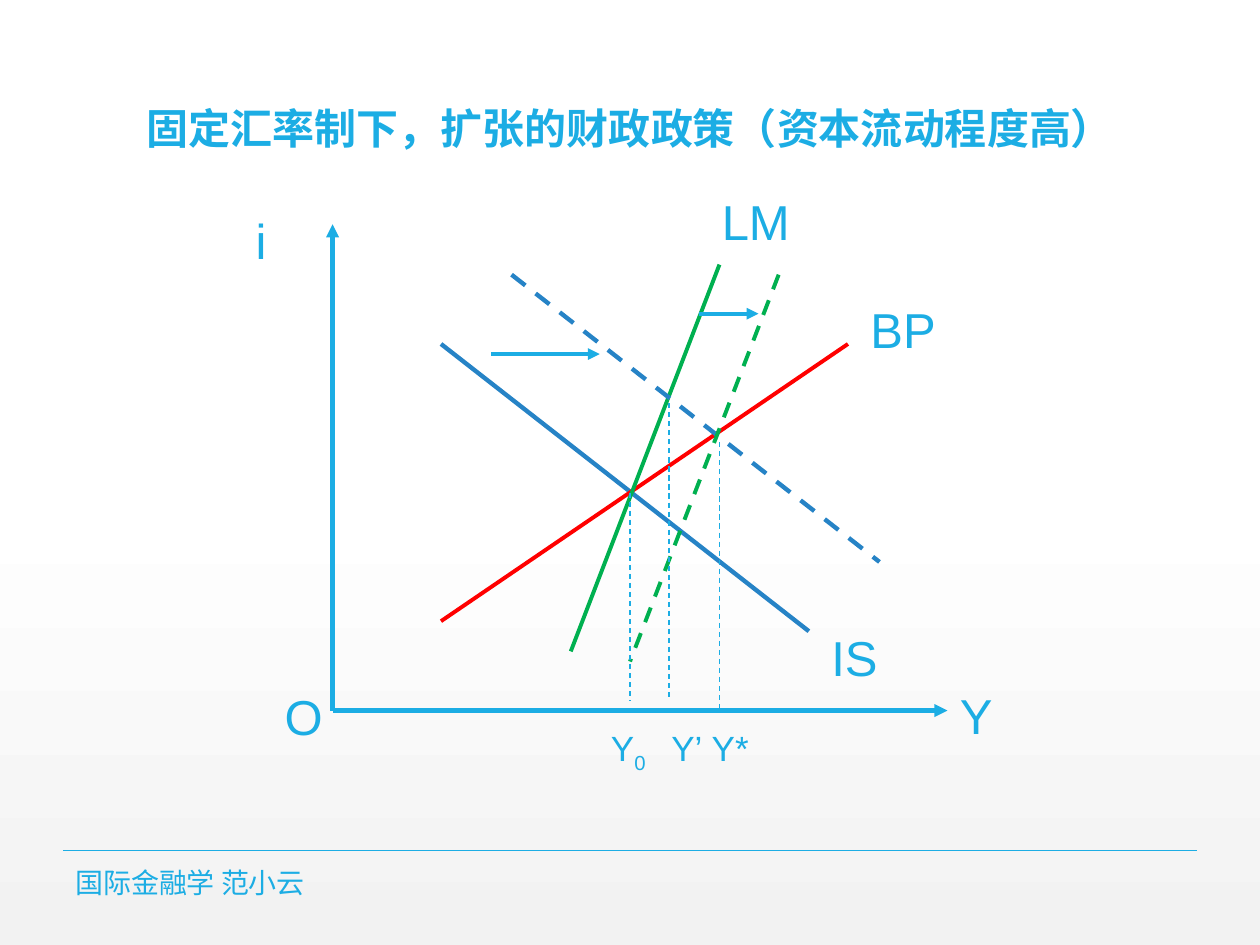
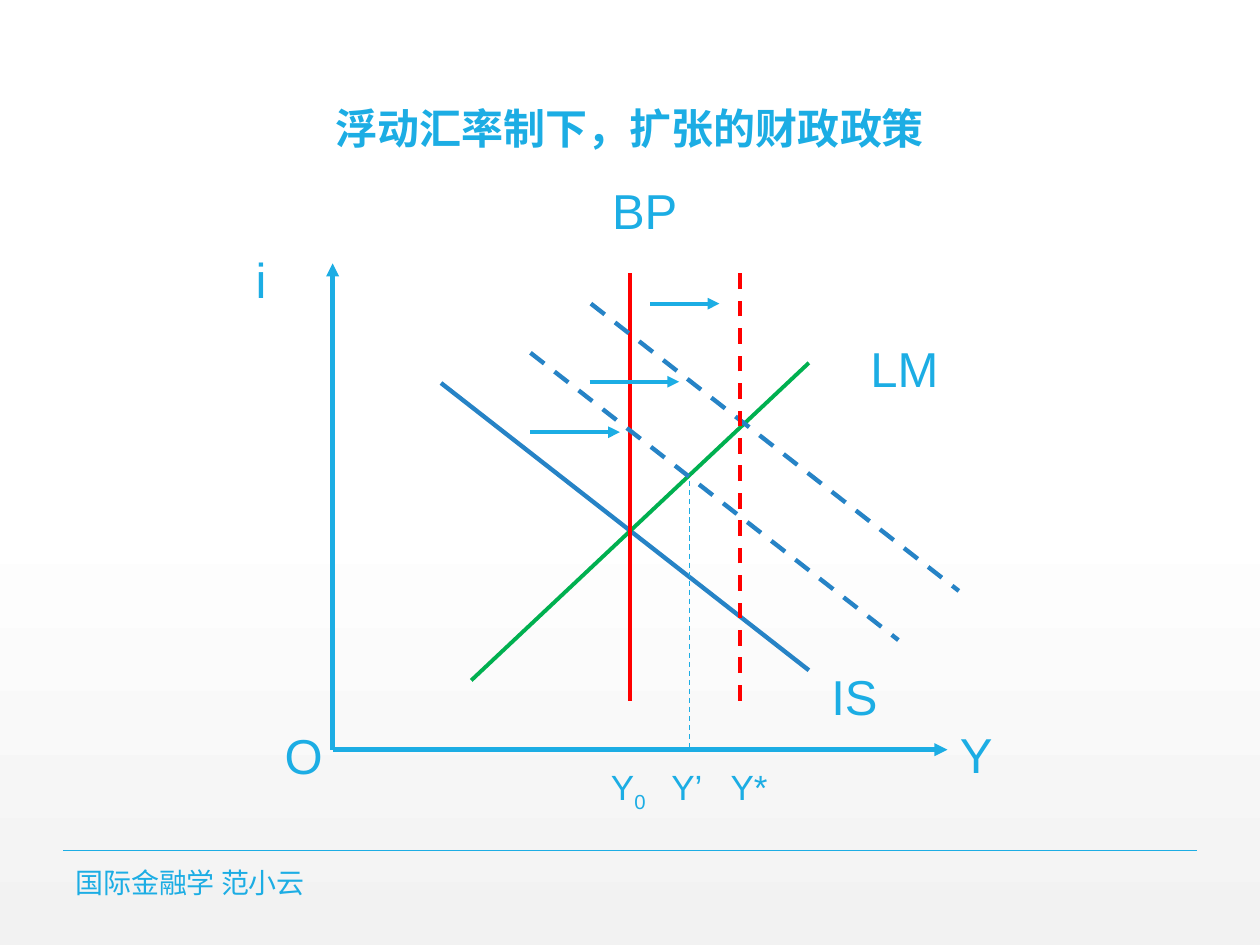
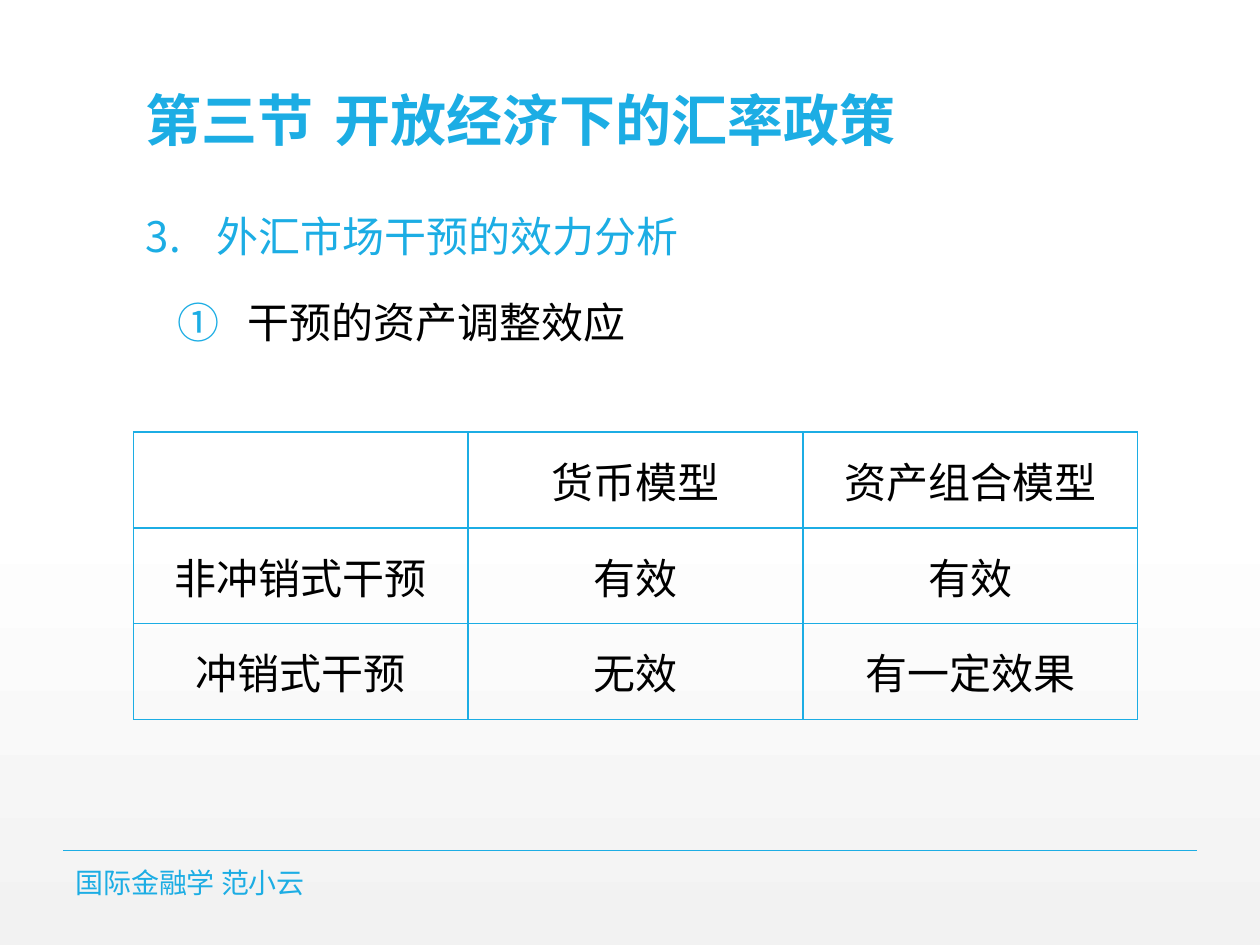
import copy
import dataclasses

import lxml.etree
import pptx
import pptx.dml.color
import pptx.enum.dml
import pptx.enum.shapes
import pptx.enum.text
import pptx.oxml.ns
import pptx.util

Inches = pptx.util.Inches
Pt = pptx.util.Pt
qn = pptx.oxml.ns.qn
ALIGN = pptx.enum.text.PP_ALIGN
ANCHOR = pptx.enum.text.MSO_ANCHOR


@dataclasses.dataclass(frozen=True)
class Theme:
    accent: str = "1CADE4"
    is_curve: str = "2683C6"
    lm_curve: str = "00B050"
    bp_curve: str = "FF0000"
    black: str = "000000"
    white: str = "FFFFFF"
    grey: str = "F2F2F2"
    latin: str = "Arial"
    chinese: str = "Noto Sans CJK SC"
    section_title: int = 32
    curve_label: int = 28
    title: int = 24
    body: int = 24
    quantity: int = 20
    footer: int = 16
    thick: float = 2.5
    medium: float = 2.25
    rule: float = 1
    thin: float = 0.75


THEME = Theme()
TITLE_BOX = (1.06, 0.02, 7.88, 1.25)
BODY_BOX = (1.06, 1.58, 7.88, 5.3)
FOOTER_BOX = (0.5, 6.88, 5.03, 0.24)
TABLE_BOX = (1.06, 3.43, 7.97, 2.28)
PLOT_LEFT, PLOT_WIDTH, PLOT_HEIGHT = 2.64, 4.88, 3.86
IS_CURVE = ((0.86, 0.95), (3.78, 3.23))


def rgb(color):
    return pptx.dml.color.RGBColor.from_string(color)


def add_child(parent, tag, **attributes):
    child = lxml.etree.SubElement(parent, qn(tag))
    for name, value in attributes.items():
        child.set(name, str(value))
    return child


def style_span(span, size, color=THEME.accent, font=THEME.latin, bold=False):
    span.font.size = Pt(size)
    span.font.bold = bold
    span.font.color.rgb = rgb(color)
    span.font.name = font
    add_child(span.font._element, "a:ea", typeface=THEME.chinese)


def add_text(page, box, text, size, font=THEME.latin, bold=False,
             anchor=ANCHOR.TOP, align=ALIGN.LEFT):
    shape = page.shapes.add_textbox(*map(Inches, box))
    frame = shape.text_frame
    frame.word_wrap = True
    frame.vertical_anchor = anchor
    frame.text = text
    para = frame.paragraphs[0]
    para.alignment = align
    for span in para.runs:
        style_span(span, size, font=font, bold=bold)
    return para


def add_line(page, start, end, color, width, dashed=False, arrow=False):
    line = page.shapes.add_connector(
        pptx.enum.shapes.MSO_CONNECTOR.STRAIGHT, *map(Inches, (*start, *end)))
    line.line.color.rgb = rgb(color)
    line.line.width = Pt(width)
    if dashed:
        line.line.dash_style = pptx.enum.dml.MSO_LINE.DASH
    properties = line._element.spPr
    if arrow:
        add_child(properties.find(qn("a:ln")), "a:tailEnd", type="triangle")
    add_child(properties, "a:effectLst")


def set_background(deck):
    """Give every slide a white to light grey gradient through the master."""
    master = deck.slide_master
    fill = master.background.fill
    fill.gradient()
    fill.gradient_angle = 270
    stop_list = next(master.element.cSld.iter(qn("a:gsLst")))
    stop_list.insert(1, copy.deepcopy(stop_list[0]))
    settings = ((0, THEME.white), (0.53, THEME.white), (1, THEME.grey))
    for stop, (position, color) in zip(fill.gradient_stops, settings):
        stop.position = position
        stop.color.rgb = rgb(color)


def add_page(deck, title, title_size, align):
    page = deck.slides.add_slide(deck.slide_layouts[6])
    add_line(page, (0.5, 6.75), (9.5, 6.75), THEME.accent, THEME.rule)
    heading = add_text(page, TITLE_BOX, title, title_size, bold=True,
                       anchor=ANCHOR.BOTTOM, align=align)
    heading.line_spacing = 0.9
    add_text(page, FOOTER_BOX, "国际金融学 范小云", THEME.footer,
             font=THEME.chinese, anchor=ANCHOR.MIDDLE)
    return page


class Plot:
    """An i-Y diagram whose parts are placed from its top left corner."""

    def __init__(self, page, top):
        self.page = page
        self.top = top
        origin = (0, PLOT_HEIGHT)
        for tip in ((0, 0), (PLOT_WIDTH, PLOT_HEIGHT)):
            self.line(origin, tip, THEME.accent, THEME.thick, arrow=True)
        self.curve(IS_CURVE, THEME.is_curve, THEME.thick)
        self.label("i", -0.71, -0.16)
        self.label("Y", PLOT_WIDTH, 3.61)
        self.label("O", -0.48, 3.62)
        self.label("IS", 3.86, 3.15)

    def place(self, point):
        return PLOT_LEFT + point[0], self.top + point[1]

    def line(self, start, end, *style, **options):
        add_line(self.page, self.place(start), self.place(end), *style, **options)

    def curve(self, ends, color, width=THEME.medium, shift=(0, 0)):
        """Draw a curve, dashed when it is shifted from its first place."""
        start, end = [(x + shift[0], y + shift[1]) for x, y in ends]
        self.line(start, end, color, width, dashed=any(shift))

    def shift_arrow(self, x, y, length):
        self.line((x, y), (x + length, y), THEME.accent, THEME.medium, arrow=True)

    def guide(self, x, top, bottom):
        self.line((x, top), (x, bottom), THEME.accent, THEME.thin, dashed=True)

    def label(self, text, x, y):
        add_text(self.page, (*self.place((x, y)), 0.79, 0.57), text,
                 THEME.curve_label)

    def quantities(self, star_x):
        for text, subscript, x in (("Y", "0", 2.11), ("Y’", "", 2.59),
                                   ("Y*", "", star_x)):
            para = add_text(self.page, (*self.place((x, 3.94)), 0.6, 0.43),
                            text, THEME.quantity)
            if subscript:
                span = para.add_run()
                span.text = subscript
                style_span(span, THEME.quantity)
                span.font._element.set("baseline", "-25000")


def add_fixed_rate_page(deck):
    page = add_page(deck, "固定汇率制下，扩张的财政政策（资本流动程度高）",
                    THEME.title, ALIGN.CENTER)
    plot = Plot(page, 1.78)
    lm_curve = ((3.07, 0.32), (1.89, 3.39))
    plot.curve(((0.86, 3.15), (4.09, 0.95)), THEME.bp_curve)
    plot.curve(lm_curve, THEME.lm_curve)
    plot.label("BP", 4.17, 0.55)
    plot.label("LM", 2.99, -0.31)
    plot.curve(IS_CURVE, THEME.is_curve, THEME.thick, shift=(0.56, -0.55))
    plot.shift_arrow(1.26, 1.03, 0.86)
    plot.curve(lm_curve, THEME.lm_curve, shift=(0.47, 0.08))
    plot.shift_arrow(2.91, 0.71, 0.47)
    for x, top, bottom in ((2.36, 2.13, 3.78), (2.67, 1.42, 3.78),
                           (3.07, 1.73, PLOT_HEIGHT)):
        plot.guide(x, top, bottom)
    plot.quantities(star_x=2.91)


def add_floating_rate_page(deck):
    page = add_page(deck, "浮动汇率制下，扩张的财政政策", THEME.title, ALIGN.CENTER)
    plot = Plot(page, 2.09)
    bp_curve = ((2.36, 3.47), (2.36, 0.08))
    plot.curve(((1.1, 3.31), (3.78, 0.79)), THEME.lm_curve)
    plot.curve(bp_curve, THEME.bp_curve)
    plot.label("LM", 4.17, 0.55)
    plot.label("BP", 2.12, -0.71)
    for shift, x, y in (((0.71, -0.24), 1.57, 1.34), ((1.19, -0.63), 2.04, 0.94)):
        plot.curve(IS_CURVE, THEME.is_curve, THEME.thick, shift=shift)
        plot.shift_arrow(x, y, 0.71)
    plot.curve(bp_curve, THEME.bp_curve, shift=(0.87, 0))
    plot.shift_arrow(2.52, 0.32, 0.55)
    plot.guide(2.83, 1.73, PLOT_HEIGHT)
    plot.quantities(star_x=3.06)


def number_paragraph(para, margin, scheme, start=1):
    properties = para._p.get_or_add_pPr()
    properties.set("marL", str(Inches(margin)))
    properties.set("indent", str(Inches(-0.56)))
    add_child(add_child(properties, "a:buClr"), "a:srgbClr", val=THEME.accent)
    add_child(properties, "a:buAutoNum", type=scheme, startAt=start)


def add_outline(page, box):
    shape = page.shapes.add_textbox(*map(Inches, box))
    frame = shape.text_frame
    frame.word_wrap = True
    topic = frame.paragraphs[0]
    topic.text = "外汇市场干预的效力分析"
    number_paragraph(topic, 0.56, "arabicPeriod", start=3)
    topic.line_spacing = 1.1
    point = frame.add_paragraph()
    point.text = "干预的资产调整效应"
    point.level = 1
    number_paragraph(point, 0.81, "circleNumDbPlain")
    point.line_spacing = 1.3
    point.space_before = Pt(12)
    for para, color in ((topic, THEME.accent), (point, THEME.black)):
        style_span(para.runs[0], THEME.body, color, THEME.chinese)


def style_cell(cell):
    properties = cell._tc.get_or_add_tcPr()
    for side in ("a:lnL", "a:lnR", "a:lnT", "a:lnB"):
        border = add_child(properties, side, w=Pt(THEME.rule))
        add_child(add_child(border, "a:solidFill"), "a:srgbClr", val=THEME.accent)
    cell.fill.background()
    cell.vertical_anchor = ANCHOR.MIDDLE
    para = cell.text_frame.paragraphs[0]
    para.alignment = ALIGN.CENTER
    for span in para.runs:
        style_span(span, THEME.body, THEME.black, THEME.chinese)


def add_effect_table(page, box):
    rows = (("", "货币模型", "资产组合模型"),
            ("非冲销式干预", "有效", "有效"),
            ("冲销式干预", "无效", "有一定效果"))
    table = page.shapes.add_table(len(rows), len(rows[0]), *map(Inches, box)).table
    table.first_row = False
    table.horz_banding = False
    for row_index, row in enumerate(rows):
        for column_index, text in enumerate(row):
            cell = table.cell(row_index, column_index)
            cell.text = text
            style_cell(cell)


def add_intervention_page(deck):
    page = add_page(deck, "第三节\t开放经济下的汇率政策", THEME.section_title, ALIGN.LEFT)
    add_outline(page, BODY_BOX)
    add_effect_table(page, TABLE_BOX)


def main():
    deck = pptx.Presentation()
    deck.slide_width = Inches(10)
    deck.slide_height = Inches(7.5)
    set_background(deck)
    add_fixed_rate_page(deck)
    add_floating_rate_page(deck)
    add_intervention_page(deck)
    deck.save("out.pptx")


if __name__ == "__main__":
    main()
